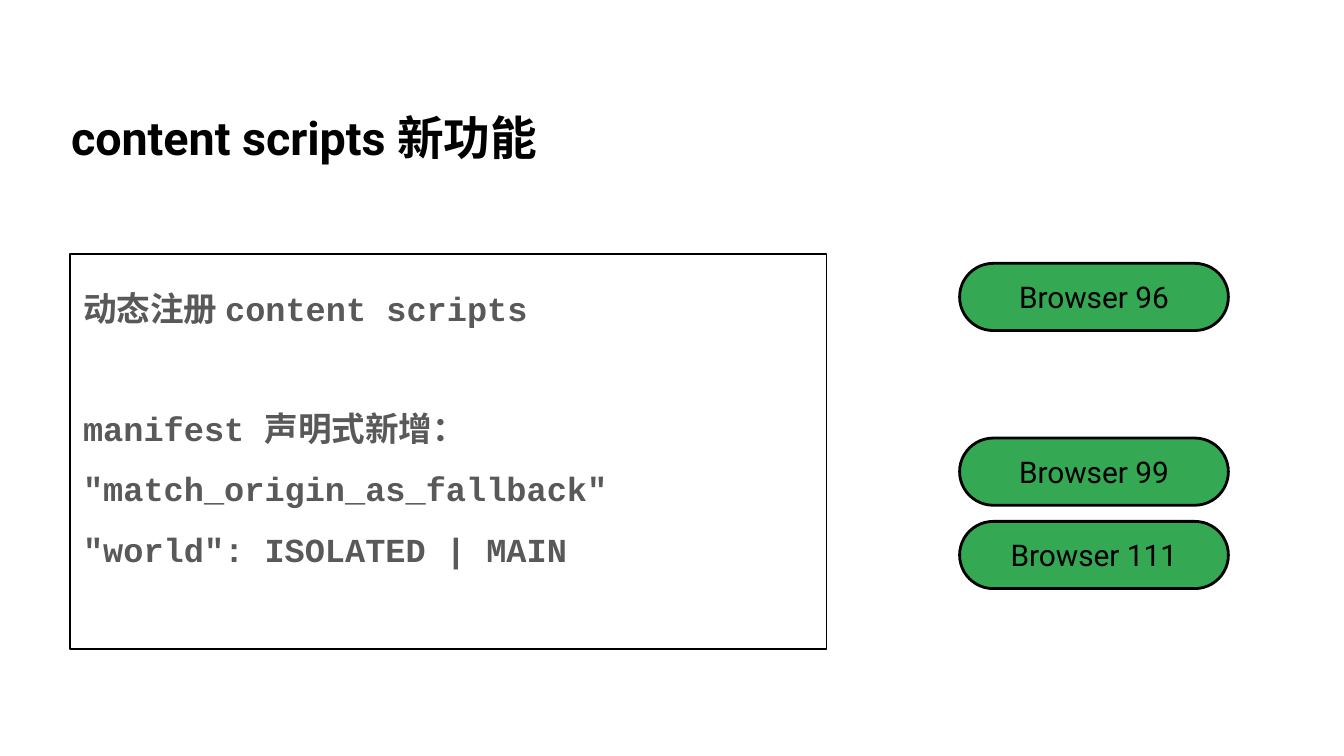
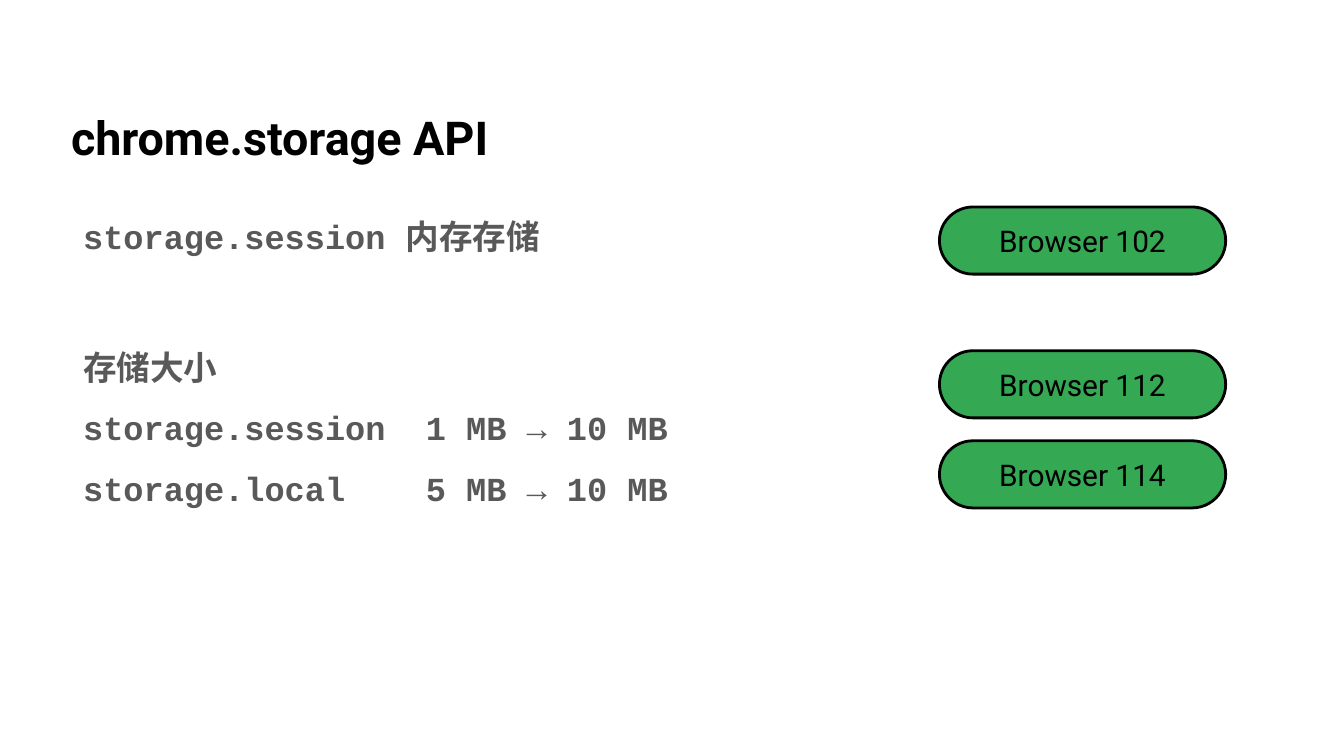
from lxml.etree import SubElement
from pptx import Presentation
from pptx.dml.color import RGBColor
from pptx.enum.shapes import MSO_SHAPE
from pptx.enum.text import MSO_ANCHOR, PP_ALIGN
from pptx.oxml.ns import qn
from pptx.util import Inches, Pt

BLACK = RGBColor(0x00, 0x00, 0x00)
WHITE = RGBColor(0xFF, 0xFF, 0xFF)
GRAY = RGBColor(0x59, 0x59, 0x59)
GREEN = RGBColor(0x34, 0xA8, 0x53)
HEADING_FONT = "Roboto"
CODE_FONT = "Courier New"
NOTE_LEFT = 0.52
BADGE_HEIGHT = 0.5


def set_frame(frame, anchor, side=0.1, top=0.1):
    """Wrap the text and set its anchor and insets."""
    frame.word_wrap = True
    frame.vertical_anchor = anchor
    frame.margin_left = frame.margin_right = Inches(side)
    frame.margin_top = frame.margin_bottom = Inches(top)


def set_outline(shape, width):
    """Give a shape a black outline and no shadow."""
    shape.shadow.inherit = False
    shape.line.color.rgb = BLACK
    shape.line.width = Pt(width)


def add_run(paragraph, text, font, size, color, bold=False):
    """Add one formatted run."""
    run = paragraph.add_run()
    run.text = text
    run.font.name = font
    run.font.size = Pt(size)
    run.font.bold = bold
    run.font.color.rgb = color


def add_tab_stop(paragraph, position):
    """Add a left tab stop to a paragraph."""
    tabs = SubElement(paragraph._p.get_or_add_pPr(), qn("a:tabLst"))
    SubElement(tabs, qn("a:tab"), pos=str(Inches(position)), algn="l")


def add_titled_slide(deck, title, width):
    """Add a white slide with its title."""
    slide = deck.slides.add_slide(deck.slide_layouts[6])
    slide.background.fill.solid()
    slide.background.fill.fore_color.rgb = WHITE
    heading = slide.shapes.add_textbox(
        Inches(0.43), Inches(0.7), Inches(width), Inches(0.63))
    set_frame(heading.text_frame, MSO_ANCHOR.BOTTOM)
    add_run(heading.text_frame.paragraphs[0], title, HEADING_FONT, 25, BLACK, True)
    return slide


def write_notes(frame, lines, spacing=1.5, gap_before=None, tab=None):
    """Write code-style lines, with an optional gap before one and a tab stop."""
    set_frame(frame, MSO_ANCHOR.TOP)
    for index, line in enumerate(lines):
        paragraph = frame.add_paragraph() if index else frame.paragraphs[0]
        paragraph.alignment = PP_ALIGN.LEFT
        paragraph.line_spacing = spacing
        if index == gap_before:
            paragraph.space_before = Pt(32)
        if tab and "\t" in line:
            add_tab_stop(paragraph, tab)
        add_run(paragraph, line, CODE_FONT, 18, GRAY, True)


def add_notes(slide, top, height, lines, **layout):
    """Add a plain block of notes."""
    notes = slide.shapes.add_textbox(
        Inches(NOTE_LEFT), Inches(top), Inches(5.15), Inches(height))
    write_notes(notes.text_frame, lines, **layout)


def add_notes_panel(slide, top, width, height, lines, **layout):
    """Add an outlined panel of notes."""
    panel = slide.shapes.add_shape(
        MSO_SHAPE.RECTANGLE, Inches(NOTE_LEFT), Inches(top),
        Inches(width), Inches(height))
    panel.fill.background()
    set_outline(panel, 0.75)
    write_notes(panel.text_frame, lines, **layout)


def add_version_badges(slide, left, width, badges):
    """Add a column of green version badges from (top, version) pairs."""
    for top, version in badges:
        badge = slide.shapes.add_shape(
            MSO_SHAPE.ROUNDED_RECTANGLE, Inches(left), Inches(top),
            Inches(width), Inches(BADGE_HEIGHT))
        badge.adjustments[0] = 0.5
        badge.fill.solid()
        badge.fill.fore_color.rgb = GREEN
        set_outline(badge, 1.5)
        set_frame(badge.text_frame, MSO_ANCHOR.MIDDLE, 0.3, 0.2)
        label = badge.text_frame.paragraphs[0]
        label.alignment = PP_ALIGN.CENTER
        add_run(label, f"Browser {version}", HEADING_FONT, 16, BLACK)


def build_content_scripts(deck):
    """Build the slide on new content script features."""
    slide = add_titled_slide(deck, "content scripts 新功能", 3.88)
    add_notes_panel(slide, 1.89, 5.63, 2.94, [
        "动态注册 content scripts",
        "manifest 声明式新增：",
        '"match_origin_as_fallback"',
        '"world": ISOLATED | MAIN',
    ], gap_before=1)
    add_version_badges(slide, 7.14, 2, [(1.96, 96), (3.26, 99), (3.88, 111)])


def build_storage(deck):
    """Build the slide on the storage API."""
    slide = add_titled_slide(deck, "chrome.storage API", 3.82)
    add_notes(slide, 1.51, 0.56, ["storage.session 内存存储"], spacing=1.0)
    add_notes(slide, 2.33, 1.58, [
        "存储大小",
        "storage.session\t1 MB → 10 MB",
        "storage.local\t5 MB → 10 MB",
    ], tab=2.55)
    add_version_badges(slide, 6.99, 2.13, [(1.54, 102), (2.61, 112), (3.28, 114)])


def main():
    """Build and save the deck."""
    deck = Presentation()
    deck.slide_width = Inches(10)
    deck.slide_height = deck.slide_width * 9 // 16
    build_content_scripts(deck)
    build_storage(deck)
    deck.save("out.pptx")


if __name__ == "__main__":
    main()
